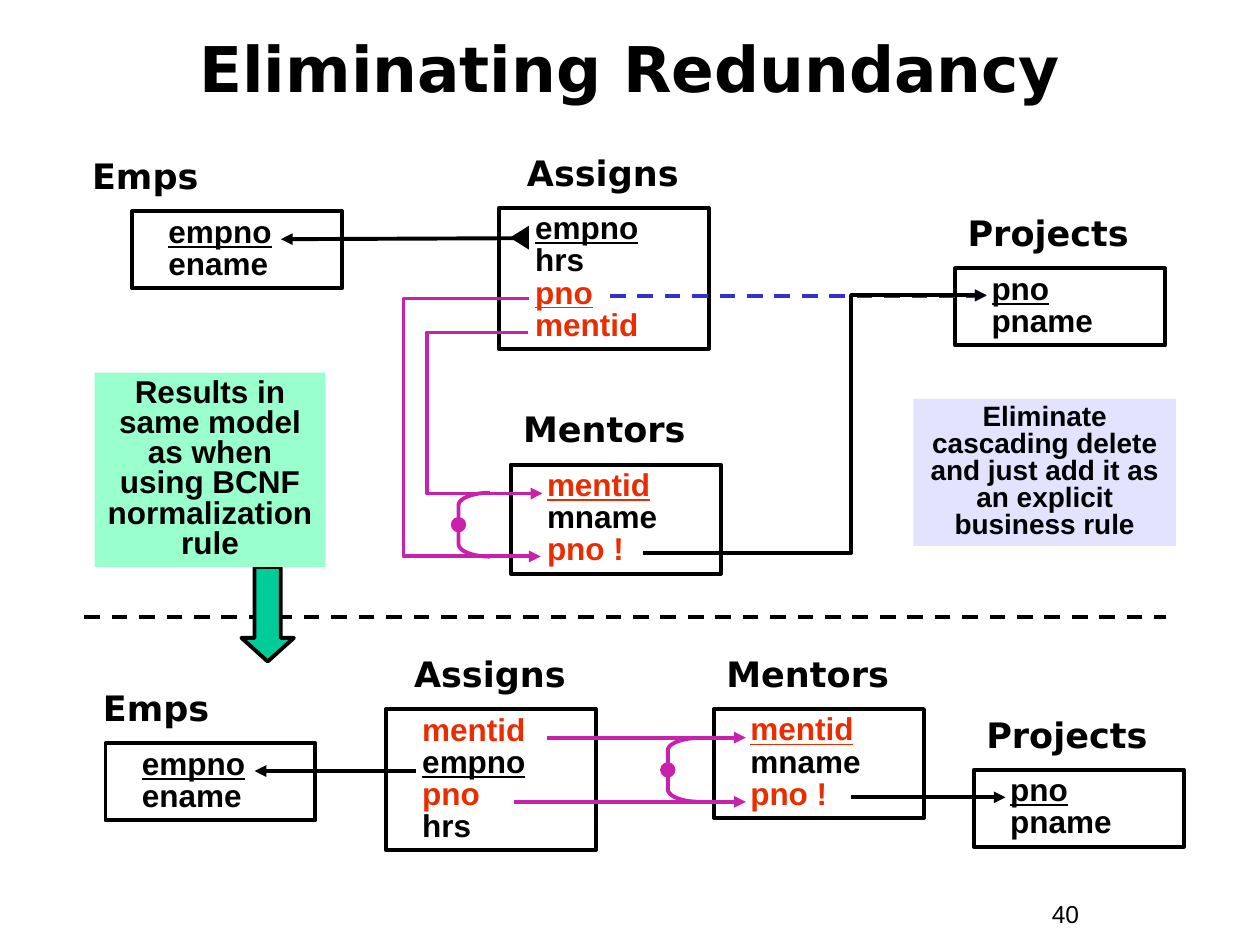
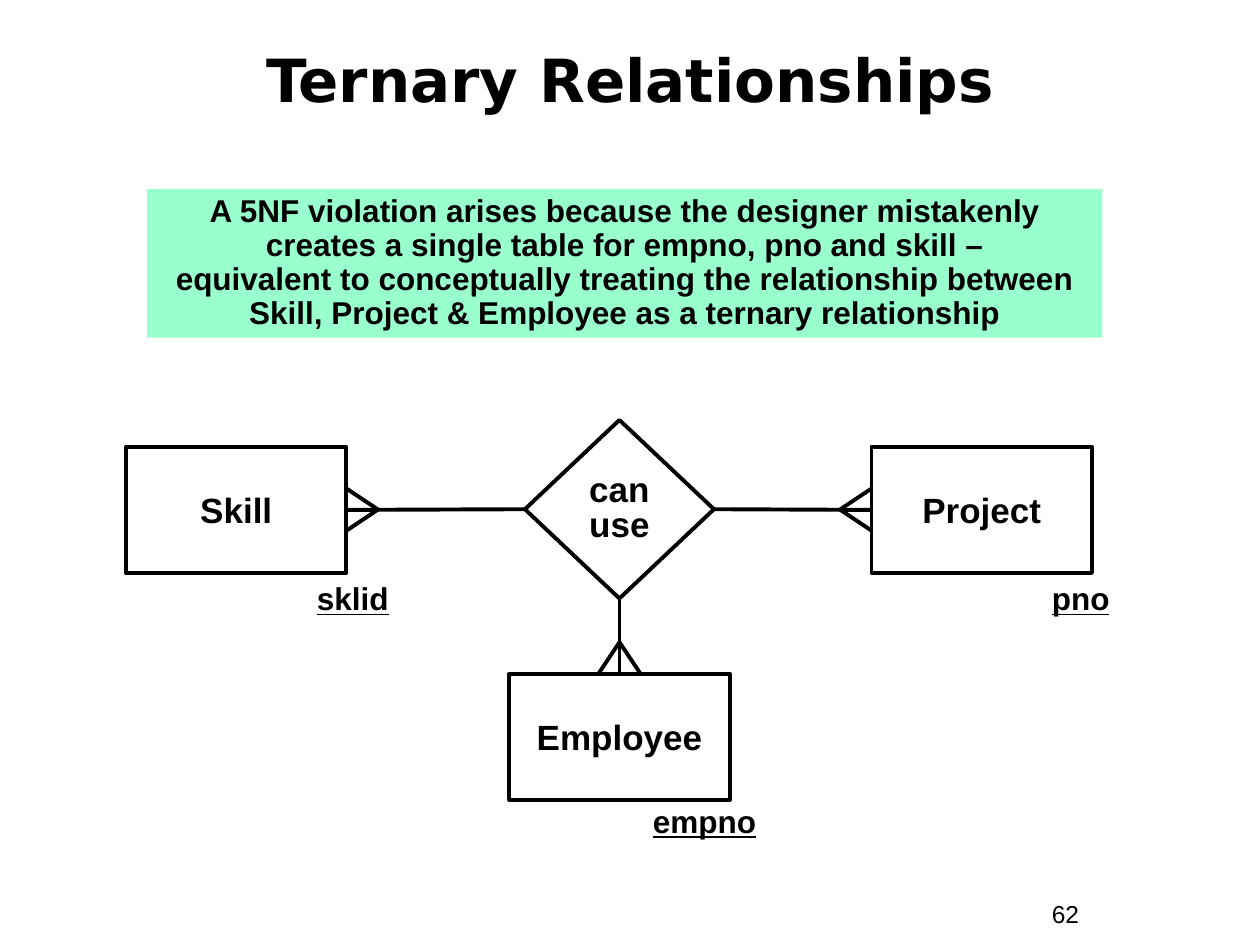
"""Build two slides on removing redundancy and on ternary relationships."""
import math
from dataclasses import dataclass

import lxml.etree
import pptx
import pptx.dml.color
import pptx.enum.dml
import pptx.enum.shapes
import pptx.enum.text
import pptx.oxml.ns
import pptx.util

Pt = pptx.util.Pt
SHAPE = pptx.enum.shapes.MSO_SHAPE
CONNECTOR = pptx.enum.shapes.MSO_CONNECTOR
ALIGN = pptx.enum.text.PP_ALIGN
ANCHOR = pptx.enum.text.MSO_ANCHOR
TOP, LEFT, BOTTOM, RIGHT = range(4)


@dataclass(frozen=True)
class Theme:
    """Colours, fonts and sizes used on every slide."""
    ink: str = "000000"
    key: str = "EA2D00"
    link: str = "C822AC"
    dashed: str = "3333CC"
    mint: str = "99FFCC"
    lilac: str = "E3E3FF"
    arrow: str = "00CC99"
    body_font: str = "Arial"
    head_font: str = "DejaVu Sans"
    label_size: float = 20
    body_size: float = 18
    note_size: float = 16
    number_size: float = 14
    stroke: float = 2.25
    row: float = 18.3
    entity_width: float = 120


T = Theme()
FOREIGN = {"color": T.key}
KEY = {"underline": True}
FOREIGN_KEY = {**FOREIGN, **KEY}


def rgb(color):
    """Return the colour object for a hex string."""
    return pptx.dml.color.RGBColor.from_string(color)


def ooxml(parent, tag, **attrs):
    """Append a drawing element to parent and return it."""
    return lxml.etree.SubElement(parent, pptx.oxml.ns.qn(tag), **attrs)


def write(sp, *lines, font=T.body_font, size=T.body_size, color=T.ink, bold=True,
          align=ALIGN.LEFT, spacing=1.0, anchor=ANCHOR.TOP, wrap=True, indent=0):
    """Write lines into a shape; a line is text or a (text, overrides) pair."""
    tf = sp.text_frame
    tf.word_wrap = wrap
    tf.vertical_anchor = anchor
    for i, line in enumerate(lines):
        text, extra = (line, {}) if isinstance(line, str) else line
        p = tf.paragraphs[0] if i == 0 else tf.add_paragraph()
        p.text = text
        p.alignment = align
        p.line_spacing = spacing
        if indent:
            p._p.get_or_add_pPr().set("marL", str(Pt(indent)))
        for r in p.runs:
            r.font.name = font
            r.font.size = Pt(size)
            r.font.bold = bold
            r.font.underline = extra.get("underline", False)
            r.font.color.rgb = rgb(extra.get("color", color))


def paint(sp, fill=None, line=None):
    """Set fill and outline of a shape and remove its shadow."""
    sp.shadow.inherit = False
    if fill:
        sp.fill.solid()
        sp.fill.fore_color.rgb = rgb(fill)
    else:
        sp.fill.background()
    if line:
        sp.line.color.rgb = rgb(line)
        sp.line.width = Pt(T.stroke)
    else:
        sp.line.fill.background()
    return sp


def shape(s, kind, x, y, w, h, fill=None, line=None):
    """Add a painted preset shape."""
    return paint(s.shapes.add_shape(kind, Pt(x), Pt(y), Pt(w), Pt(h)), fill, line)


def label(s, text, x, y, w, h, **fmt):
    """Add a text box."""
    write(s.shapes.add_textbox(Pt(x), Pt(y), Pt(w), Pt(h)), text, **fmt)


def note(s, text, x, y, w, h, fill, **fmt):
    """Add a filled box with centred text."""
    write(shape(s, SHAPE.RECTANGLE, x, y, w, h, fill), text, align=ALIGN.CENTER, **fmt)


def connector(s, start, end, color=T.ink, via=None, head=False, dash=False):
    """Add a straight line, or an elbow whose middle leg is at x = via."""
    kind = CONNECTOR.STRAIGHT if via is None else CONNECTOR.ELBOW
    c = s.shapes.add_connector(kind, *(Pt(v) for v in (*start, *end)))
    c.line.color.rgb = rgb(color)
    c.line.width = Pt(T.stroke)
    if dash:
        c.line.dash_style = pptx.enum.dml.MSO_LINE.DASH
    if head:
        ooxml(c.line._get_or_add_ln(), "a:tailEnd", type="triangle")
    if via is not None:
        bend = round((via - start[0]) / (end[0] - start[0]) * 100000)
        guides = c._element.spPr.find(pptx.oxml.ns.qn("a:prstGeom")).get_or_add_avLst()
        ooxml(guides, "a:gd", name="adj1", fmla=f"val {bend}")
    ooxml(c._element.spPr, "a:effectLst")
    return c


def entity(s, name, x, y, *rows, label_dx=0):
    """Add a named box listing the columns of a table."""
    label(s, name, x + label_dx, y - 36, T.entity_width, 31.5,
          font=T.head_font, size=T.label_size)
    sp = shape(s, SHAPE.RECTANGLE, x, y, T.entity_width, 7.4 + T.row * len(rows), line=T.ink)
    write(sp, *rows, spacing=0.85, indent=13.7)


def pair_bracket(s, x, y, w=18, h=36.5, corner=7.2, dot=6.5):
    """Add a rounded bracket with a dot that ties two links together."""
    angles = [math.radians(a) for a in range(0, 91, 9)]
    upper = [(x + w - w * math.sin(a), y + corner * (1 - math.cos(a))) for a in angles]
    lower = [(px, 2 * y + h - py) for px, py in reversed(upper)]
    points = [(Pt(px), Pt(py)) for px, py in upper + lower]
    fb = s.shapes.build_freeform(*points[0])
    fb.add_line_segments(points[1:], close=False)
    paint(fb.convert_to_shape(), line=T.link)
    shape(s, SHAPE.OVAL, x - dot / 2, y + (h - dot) / 2, dot, dot, T.link, T.link)


def crow_foot(s, tip, *toes):
    """Add the two outer toes of a crow's foot."""
    for toe in toes:
        connector(s, tip, toe)


def join(s, a, a_side, b, b_side):
    """Join the sides of two shapes by a straight line."""
    c = connector(s, (0, 0), (1, 1))
    c.begin_connect(a, a_side)
    c.end_connect(b, b_side)


def new_slide(prs, title, number, y, h, size):
    """Add a blank slide with its title and page number."""
    s = prs.slides.add_slide(prs.slide_layouts[6])
    label(s, str(number), 594, 510, 66, 24.5, size=T.number_size, bold=False)
    label(s, title, 18, y, 684, h, font=T.head_font, size=size, spacing=0.85,
          align=ALIGN.CENTER, anchor=ANCHOR.MIDDLE)
    return s


def redundancy_slide(prs):
    """Build the slide comparing the two equivalent models."""
    s = new_slide(prs, "Eliminating Redundancy", 40, 8.6, 66.2, 36)
    emps = [("empno", KEY), "ename"]
    projects = [("pno", KEY), "pname"]
    mentors = [("mentid", FOREIGN_KEY), "mname", ("pno !", FOREIGN)]

    entity(s, "Emps", 75.5, 120.8, *emps, label_dx=-30)
    entity(s, "Assigns", 285, 118.8, ("empno", KEY), "hrs",
           ("pno", FOREIGN_KEY), ("mentid", FOREIGN), label_dx=9)
    entity(s, "Projects", 545.8, 153.4, *projects)
    entity(s, "Mentors", 291.8, 265.5, *mentors)
    connector(s, (301.7, 136.1), (160.5, 136.7), head=True)
    connector(s, (348.5, 169), (563.8, 169), T.dashed, head=True, dash=True)
    connector(s, (367.2, 316), (563.8, 168.7), via=486.4, head=True)
    connector(s, (301.7, 190), (310, 282), T.link, via=244, head=True)
    connector(s, (302.2, 170.6), (309, 318), T.link, via=230.6, head=True)
    pair_bracket(s, 262, 281.6)
    tip = shape(s, SHAPE.ISOSCELES_TRIANGLE, 290, 130.4, 13.6, 10.8, T.ink)
    tip.rotation = 270

    connector(s, (48.2, 352.8), (666, 352.8), dash=True)
    down = shape(s, SHAPE.DOWN_ARROW, 138, 324, 30, 54, T.arrow, T.ink)
    down.adjustments[1] = 0.45

    entity(s, "Emps", 60.3, 424.8, *emps, label_dx=-8.6)
    entity(s, "Assigns", 220.5, 405.2, ("mentid", FOREIGN), ("empno", KEY),
           ("pno", FOREIGN), "hrs", label_dx=9)
    entity(s, "Mentors", 408, 405.2, *mentors)
    entity(s, "Projects", 556.5, 439.9, *projects)
    connector(s, (237.6, 440.6), (145.5, 440.6), head=True)
    connector(s, (312.5, 421.5), (426.2, 421.5), T.link, head=True)
    connector(s, (293.8, 458.2), (426.2, 458.2), T.link, head=True)
    connector(s, (486, 455.6), (574.6, 455.6), head=True)
    pair_bracket(s, 381.6, 421.7)

    note(s, "Results in same model as when using BCNF normalization rule",
         54, 213, 132, 111, T.mint, spacing=0.8)
    note(s, "Eliminate cascading delete and just add it as an explicit business rule",
         522, 228, 150, 84, T.lilac, size=T.note_size, spacing=0.8)


def ternary_slide(prs):
    """Build the slide with the three-way relationship diagram."""
    s = new_slide(prs, "Ternary Relationships", 62, 23.8, 48.2, 34)
    note(s, "A 5NF violation arises because the designer mistakenly creates a single table "
         "for empno, pno and skill –\nequivalent to conceptually treating the relationship "
         "between Skill, Project & Employee as a ternary relationship",
         84, 108, 546, 85, T.mint, spacing=0.9)

    centred = dict(size=T.label_size, align=ALIGN.CENTER, anchor=ANCHOR.MIDDLE, wrap=False)
    use = shape(s, SHAPE.FLOWCHART_DECISION, 300, 240, 108, 102, line=T.ink)
    write(use, "can\nuse", spacing=0.85, **centred)
    boxes = {}
    for name, x, y in (("Skill", 72, 255.4), ("Project", 498, 255.4), ("Employee", 291, 385)):
        boxes[name] = shape(s, SHAPE.RECTANGLE, x, y, 126, 72, line=T.ink)
        write(boxes[name], name, **centred)
    join(s, boxes["Skill"], RIGHT, use, LEFT)
    join(s, use, RIGHT, boxes["Project"], LEFT)
    join(s, use, BOTTOM, boxes["Employee"], TOP)
    crow_foot(s, (216, 291.2), (198, 279.2), (198, 303.2))
    crow_foot(s, (480, 291.2), (498, 279.2), (498, 303.2))
    crow_foot(s, (354, 367), (342, 385), (366, 385))
    for key, x, y in (("sklid", 174, 330), ("pno", 594, 330), ("empno", 366, 457)):
        label(s, (key, KEY), x, y, 84, 26.6, spacing=0.9)


def main():
    """Build and save the presentation."""
    prs = pptx.Presentation()
    prs.slide_width, prs.slide_height = Pt(720), Pt(540)
    redundancy_slide(prs)
    ternary_slide(prs)
    prs.save("out.pptx")


if __name__ == "__main__":
    main()
